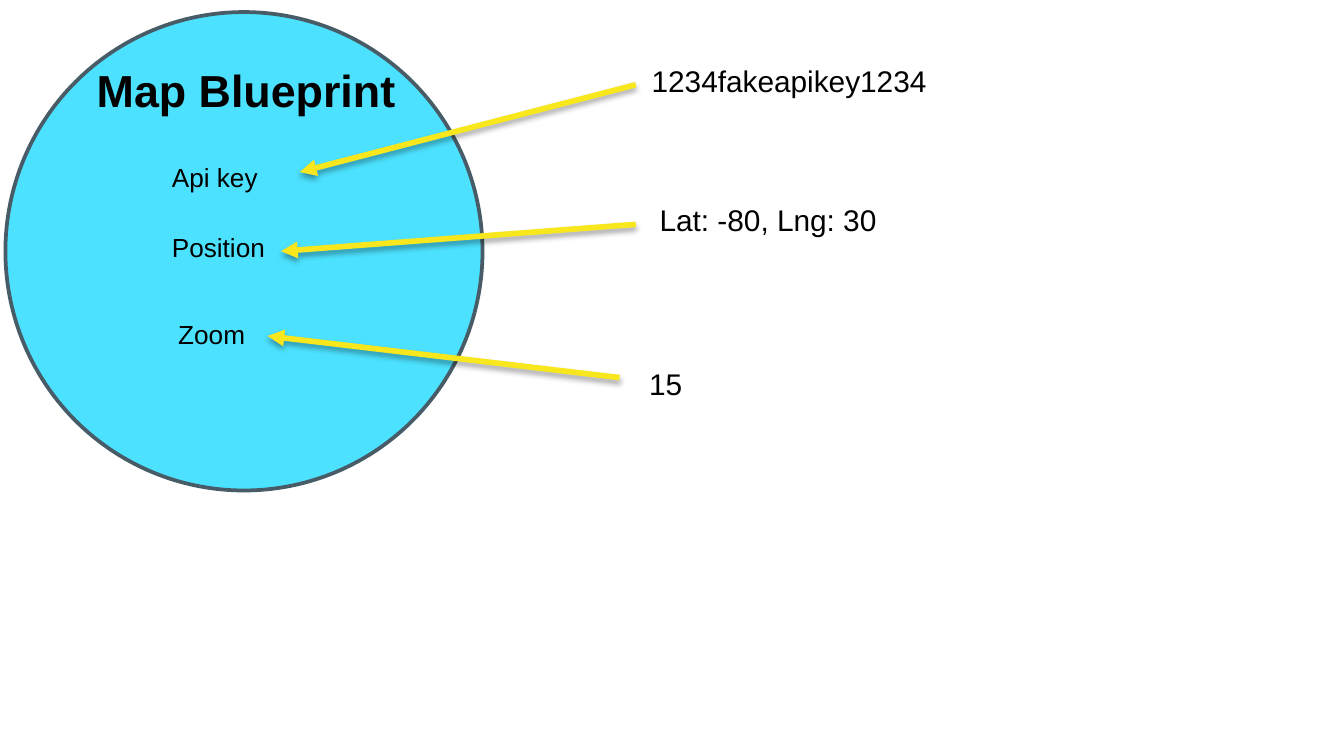
from typing import NamedTuple

import pptx
import pptx.dml.color
import pptx.enum.shapes
import pptx.enum.text
import pptx.oxml
import pptx.oxml.ns
import pptx.presentation
import pptx.shapes.autoshape
import pptx.slide
import pptx.util

Pt = pptx.util.Pt
RGBColor = pptx.dml.color.RGBColor

BLACK = RGBColor(0x00, 0x00, 0x00)
CYAN = RGBColor(0x4C, 0xE1, 0xFE)
SLATE = RGBColor(0x47, 0x5C, 0x67)
YELLOW = RGBColor(0xF8, 0xE7, 0x1C)
FONT = "Arial"
DRAWING = pptx.oxml.ns.nsdecls("a")


class Label(NamedTuple):
    text: str
    left: float
    top: float
    width: float
    height: float
    size: float
    bold: bool = False


class Arrow(NamedTuple):
    start_x: float
    start_y: float
    end_x: float
    end_y: float


TITLE = Label("Map Blueprint", 44.6, 30.2, 179.3, 36, 24, True)
LABELS = [
    Label("Api key", 85, 82.8, 74.9, 24.5, 14),
    Label("Position", 85, 120.2, 91.4, 24.5, 14),
    Label("Zoom", 88.4, 167, 91.4, 24.5, 14),
    Label("1234fakeapikey1234", 342, 30.2, 185, 26.6, 16),
    Label("Lat: -80, Lng: 30", 346.3, 104.4, 177.1, 26.6, 16),
    Label("15", 340.6, 192.2, 108.7, 26.6, 16),
]
ARROWS = [
    Arrow(340.6, 45.4, 160.6, 92.2),
    Arrow(340.6, 120.2, 150.5, 134.6),
    Arrow(331.9, 202.3, 143.3, 180),
]


def format_label(shape: pptx.shapes.autoshape.Shape, label: Label) -> None:
    shape.left, shape.top = Pt(label.left), Pt(label.top)
    shape.width, shape.height = Pt(label.width), Pt(label.height)
    frame = shape.text_frame
    frame.word_wrap = True
    frame.auto_size = pptx.enum.text.MSO_AUTO_SIZE.SHAPE_TO_FIT_TEXT
    frame.vertical_anchor = pptx.enum.text.MSO_ANCHOR.TOP
    paragraph = frame.paragraphs[0]
    paragraph.alignment = pptx.enum.text.PP_ALIGN.LEFT
    run = paragraph.add_run()
    run.text = label.text
    run.font.name = FONT
    run.font.size = Pt(label.size)
    run.font.bold = label.bold
    run.font.color.rgb = BLACK


def add_label(slide: pptx.slide.Slide, label: Label) -> None:
    box = slide.shapes.add_textbox(
        Pt(label.left), Pt(label.top), Pt(label.width), Pt(label.height)
    )
    format_label(box, label)


def add_arrow(slide: pptx.slide.Slide, arrow: Arrow) -> None:
    connector = slide.shapes.add_connector(
        pptx.enum.shapes.MSO_CONNECTOR.STRAIGHT, *(Pt(value) for value in arrow)
    )
    connector.line.color.rgb = YELLOW
    connector.line.width = Pt(3)
    connector.line._get_or_add_ln().append(
        pptx.oxml.parse_xml(f'<a:tailEnd {DRAWING} type="triangle"/>')
    )
    connector.element.spPr.append(
        pptx.oxml.parse_xml(
            f'<a:effectLst {DRAWING}><a:outerShdw blurRad="{Pt(3.1)}" '
            f'dist="{Pt(1.8)}" dir="5400000" rotWithShape="0">'
            f'<a:srgbClr val="{BLACK}"><a:alpha val="35000"/></a:srgbClr>'
            "</a:outerShdw></a:effectLst>"
        )
    )


def add_circle(slide: pptx.slide.Slide) -> pptx.shapes.autoshape.Shape:
    circle = slide.shapes.add_shape(
        pptx.enum.shapes.MSO_SHAPE.OVAL, Pt(2.9), Pt(6.5), Pt(255.6), Pt(256.3)
    )
    circle.shadow.inherit = False
    circle.fill.solid()
    circle.fill.fore_color.rgb = CYAN
    circle.line.color.rgb = SLATE
    circle.line.width = Pt(2)
    return circle


def build_presentation() -> pptx.presentation.Presentation:
    presentation = pptx.Presentation()
    presentation.slide_width, presentation.slide_height = Pt(720), Pt(405)
    slide = presentation.slides.add_slide(
        presentation.slide_layouts.get_by_name("Title Only")
    )
    circle = add_circle(slide)
    title = slide.shapes.title
    format_label(title, TITLE)
    circle.element.addnext(title.element)
    for arrow in ARROWS:
        add_arrow(slide, arrow)
    for label in LABELS:
        add_label(slide, label)
    return presentation


if __name__ == "__main__":
    build_presentation().save("out.pptx")
